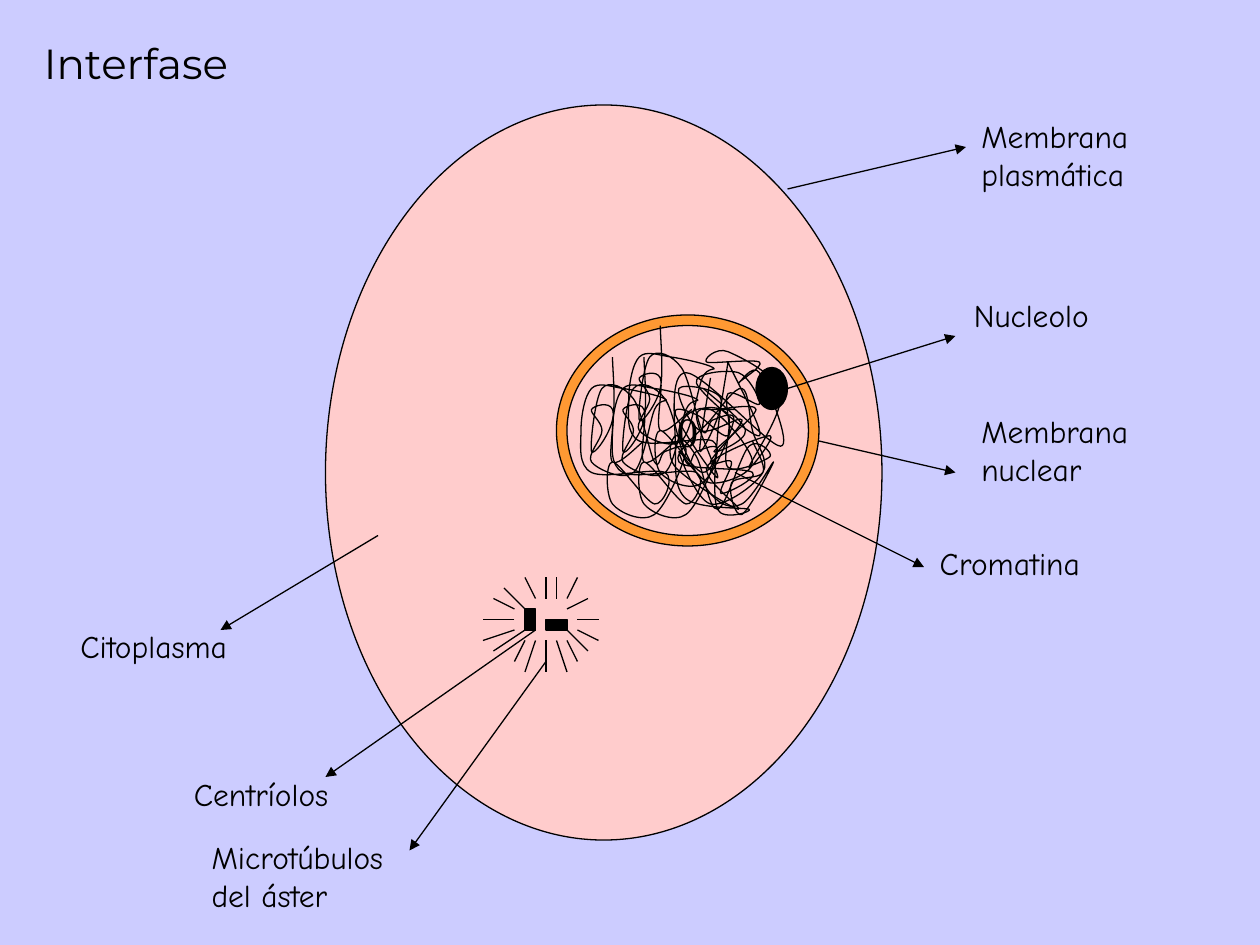
"""Build the labelled diagram of a cell in interphase."""
from lxml import etree
from pptx import Presentation
from pptx import util as u
from pptx.dml.color import RGBColor
from pptx.enum import shapes, text
from pptx.oxml.ns import qn

COLORS = {"background": "CCCCFF", "cytoplasm": "FFCCCC", "envelope": "FF9933", "ink": "000000"}
TITLE = ("Interfase", (18, 18, 192, 66))
LABELS = [
    (["Membrana", "plasmática"], (553.7, 63.4, 98.6), (450, 108, 552, 84)),
    (["Nucleolo"], (549.4, 165.6, 79.9), (450, 222, 546, 192)),
    (["Cromatina"], (529.9, 307.4, 94.3), (420, 270, 528, 324)),
    (["Membrana", "nuclear"], (553.7, 231.8, 98.6), (468, 252, 546, 270)),
    (["Citoplasma"], (38.9, 355, 98.6), (216, 306, 126, 360)),
    (["Centríolos"], (103.7, 439.2, 91.4), (306, 360, 186, 444)),
    (["Microtúbulos", "del áster"], (113.8, 475.2, 113), (312, 378, 234, 486)),
]
LINE_HEIGHT, LABEL_PADDING = 21.6, 7.2
CELL = ((186, 60, 318, 420), "cytoplasm")
ENVELOPE = ((318, 180, 150, 132), "envelope")
NUCLEUS = ((324, 186, 138, 120), "cytoplasm")
NUCLEOLUS = ((432, 210, 18, 24), "ink")
CENTRIOLES = [((300, 348, 6, 12), 0), ((315, 351, 6, 12), 270)]
ASTER_RAYS = [
    (312, 342, 312, 330), (312, 366, 312, 384), (300, 360, 282, 372),
    (324, 360, 336, 372), (324, 342, 330, 330), (330, 354, 342, 354),
    (294, 348, 282, 342), (318, 366, 324, 384), (306, 342, 300, 330),
    (324, 348, 336, 342), (318, 342, 318, 330), (324, 366, 330, 378),
    (300, 366, 294, 378), (306, 366, 300, 384), (330, 360, 342, 366),
    (288, 336, 300, 348), (294, 354, 276, 354), (294, 360, 276, 366),
]
SHORT_STRAND = [(402, 222), (426, 246), (408, 258), (432, 234), (408, 234), (402, 234), (420, 234)]
TANGLED_STRAND = [
    (406, 216), (400, 258), (412, 228), (388, 222), (400, 246), (424, 240), (406, 264),
    (418, 264), (412, 282), (430, 270), (388, 264), (406, 240), (424, 222), (430, 246),
    (436, 270), (406, 288), (388, 258), (406, 276), (430, 264), (406, 234), (388, 246),
    (406, 282), (424, 288), (442, 264), (424, 294), (418, 276), (436, 270), (430, 252),
]
DENSE_STRAND = [
    (416, 207), (434, 249), (398, 219), (422, 213), (434, 231), (416, 225), (416, 249),
    (398, 237), (386, 237), (410, 273), (398, 237), (416, 237), (416, 267), (440, 261),
    (428, 255), (410, 291), (398, 261), (386, 249), (386, 267), (422, 291), (404, 267),
    (440, 249), (428, 267), (446, 225), (416, 201), (404, 207), (434, 207), (422, 219),
    (434, 213), (446, 255), (392, 213), (386, 255), (392, 285), (428, 291), (410, 291),
    (410, 249), (416, 207),
]
LOOPED_STRAND = [
    (350, 204), (350, 240), (338, 258), (344, 222), (362, 228), (374, 264), (380, 258),
    (392, 258), (374, 294), (350, 288), (350, 264), (374, 288), (380, 270), (338, 270),
    (332, 246), (338, 222), (356, 222), (380, 228), (374, 234), (362, 270), (338, 264),
    (344, 246), (338, 234), (350, 234), (350, 264), (368, 252),
]
LOOP_OFFSETS = [(0, 0), (18, 0), (27.3, -18)]


def color(name):
    return RGBColor.from_string(COLORS[name])


def style_line(line):
    line.color.rgb = color("ink")
    line.width = u.Pt(0.75)


def add_body(slide, kind, box, fill):
    shape = slide.shapes.add_shape(kind, *map(u.Pt, box))
    shape.shadow.inherit = False
    shape.fill.solid()
    shape.fill.fore_color.rgb = color(fill)
    style_line(shape.line)
    return shape


def smooth_controls(knots):
    padded = [knots[0], *knots, knots[-1]]
    for before, start, end, after in zip(padded, padded[1:], padded[2:], padded[3:]):
        yield tuple(s + (e - b) / 6 for b, s, e in zip(before, start, end))
        yield tuple(e - (a - s) / 6 for s, e, a in zip(start, end, after))
        yield end


def add_strand(slide, knots):
    builder = slide.shapes.build_freeform(*map(u.Pt, knots[0]))
    points = [tuple(map(u.Pt, point)) for point in smooth_controls(knots)]
    builder.add_line_segments(points, close=False)
    shape = builder.convert_to_shape()
    segments = list(shape.element.iter(qn("a:lnTo")))
    for start in range(0, len(segments), 3):
        curve = etree.Element(qn("a:cubicBezTo"))
        segments[start].addprevious(curve)
        for segment in segments[start:start + 3]:
            curve.append(segment[0])
            segment.getparent().remove(segment)
    shape.shadow.inherit = False
    shape.fill.background()
    style_line(shape.line)


def add_line(slide, ends, arrow=False):
    connector = slide.shapes.add_connector(shapes.MSO_CONNECTOR.STRAIGHT, *map(u.Pt, ends))
    style_line(connector.line)
    properties = connector.element.spPr
    if arrow:
        etree.SubElement(properties.find(qn("a:ln")), qn("a:tailEnd"), type="triangle")
    etree.SubElement(properties, qn("a:effectLst"))


def write(frame, lines, font, frame_format=None):
    for name, value in {"word_wrap": False, **(frame_format or {})}.items():
        setattr(frame, name, value)
    for number, line in enumerate(lines):
        paragraph = frame.paragraphs[0] if number == 0 else frame.add_paragraph()
        paragraph.text = line
        for name, value in font.items():
            setattr(paragraph.font, name, value)
        paragraph.font.color.rgb = color("ink")


def main():
    presentation = Presentation()
    presentation.slide_width, presentation.slide_height = u.Pt(720), u.Pt(540)
    slide = presentation.slides.add_slide(presentation.slide_layouts[6])
    slide.background.fill.solid()
    slide.background.fill.fore_color.rgb = color("background")
    kinds = shapes.MSO_SHAPE
    for body in (CELL, ENVELOPE):
        add_body(slide, kinds.OVAL, *body)
    nucleus = add_body(slide, kinds.OVAL, *NUCLEUS)
    write(nucleus.text_frame, ["0"], {"name": "Times New Roman", "size": u.Pt(24)},
          {"vertical_anchor": text.MSO_ANCHOR.MIDDLE})
    nucleus.text_frame.paragraphs[0].alignment = text.PP_ALIGN.CENTER
    for strand in (SHORT_STRAND, TANGLED_STRAND, DENSE_STRAND):
        add_strand(slide, strand)
    for across, down in LOOP_OFFSETS:
        add_strand(slide, [(x + across, y + down) for x, y in LOOPED_STRAND])
    for box, rotation in CENTRIOLES:
        add_body(slide, kinds.RECTANGLE, box, "ink").rotation = rotation
    for ray in ASTER_RAYS:
        add_line(slide, ray)
    add_body(slide, kinds.OVAL, *NUCLEOLUS)
    title, box = TITLE
    write(slide.shapes.add_textbox(*map(u.Pt, box)).text_frame, [title],
          {"name": "Montserrat", "size": u.Pt(24)})
    for lines, place, leader in LABELS:
        add_line(slide, leader, arrow=True)
        box = (*place, LINE_HEIGHT * len(lines) + LABEL_PADDING)
        write(slide.shapes.add_textbox(*map(u.Pt, box)).text_frame, lines,
              {"name": "Comic Neue", "size": u.Pt(18)},
              {"auto_size": text.MSO_AUTO_SIZE.SHAPE_TO_FIT_TEXT})
    presentation.save("out.pptx")


if __name__ == "__main__":
    main()
